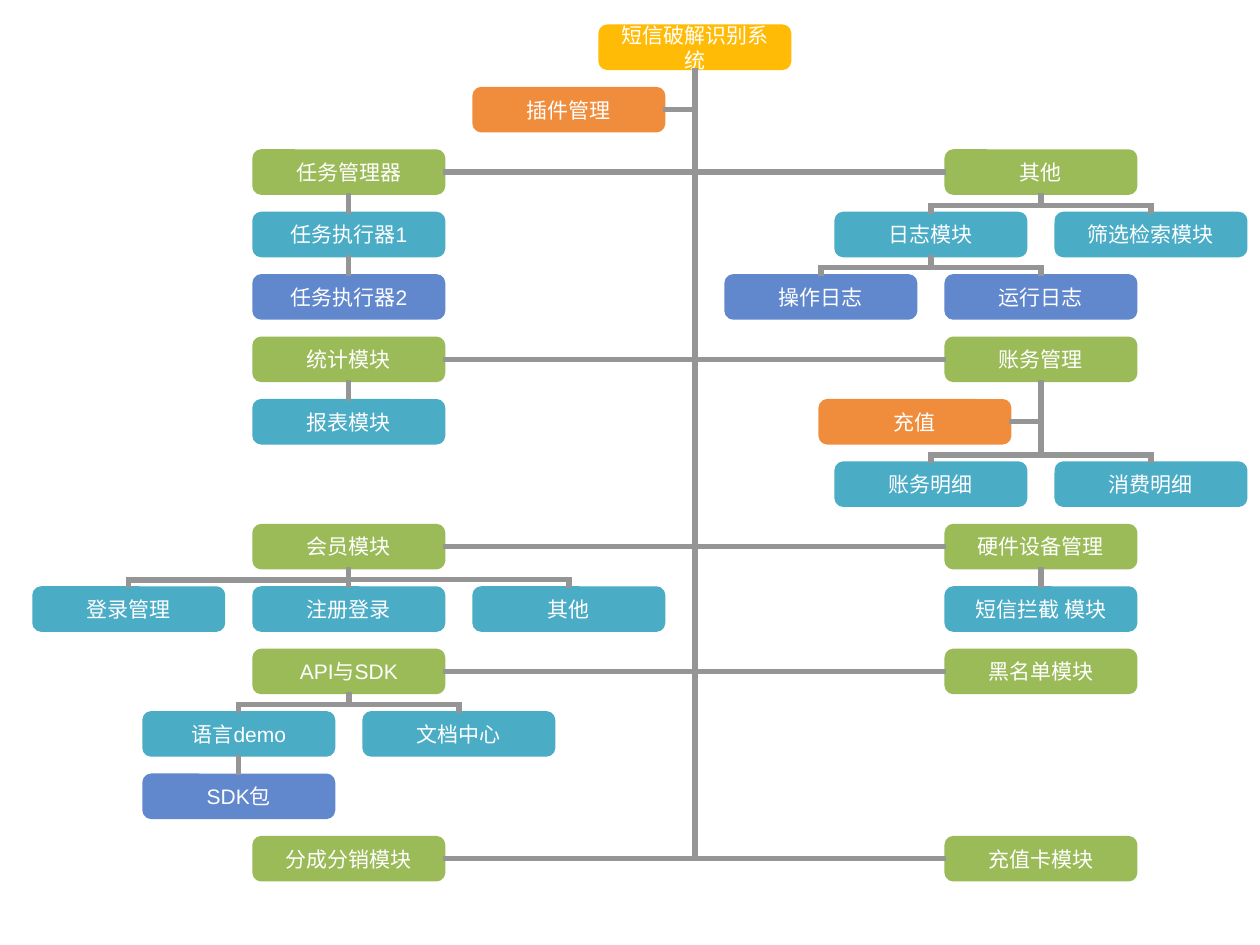
from lxml.etree import SubElement
from pptx import Presentation
from pptx.dml.color import RGBColor as RGB
from pptx.enum.shapes import MSO_CONNECTOR as Link, MSO_SHAPE as Form
from pptx.enum.text import MSO_ANCHOR as Anchor, PP_ALIGN as Align
from pptx.oxml.ns import qn
from pptx.util import Pt

HUES = {
    "root": "FFBB05",
    "branch": "9BBB59",
    "leaf": "4BACC6",
    "twig": "6187CD",
    "aide": "F08D3C",
    "line": "959595",
    "text": "FFFFFF",
}
REACH = {"root": 0, "branch": 197.75, "leaf": 62.87, "twig": 62.87, "aide": 72}
WIDE, HIGH = 108, 23.78
SPINE, TOP, PITCH = 397.1, 15.1, 35.67
DROP = 4.77

# depth, kind, shift from parent, row, text
NODES = [
    (0, "root", 0, 0, "短信破解识别系统"),
    (1, "aide", -1, 1, "插件管理"),
    (1, "branch", -1, 2, "任务管理器"),
    (2, "leaf", 0, 3, "任务执行器1"),
    (3, "twig", 0, 4, "任务执行器2"),
    (1, "branch", 1, 2, "其他"),
    (2, "leaf", 1, 3, "筛选检索模块"),
    (2, "leaf", -1, 3, "日志模块"),
    (3, "twig", -1, 4, "操作日志"),
    (3, "twig", 1, 4, "运行日志"),
    (1, "branch", -1, 5, "统计模块"),
    (2, "leaf", 0, 6, "报表模块"),
    (1, "branch", 1, 5, "账务管理"),
    (2, "aide", -1, 6, "充值"),
    (2, "leaf", -1, 7, "账务明细"),
    (2, "leaf", 1, 7, "消费明细"),
    (1, "branch", -1, 8, "会员模块"),
    (2, "leaf", -2, 9, "登录管理"),
    (2, "leaf", 0, 9, "注册登录"),
    (2, "leaf", 2, 9, "其他"),
    (1, "branch", 1, 8, "硬件设备管理"),
    (2, "leaf", 0, 9, "短信拦截 模块"),
    (1, "branch", -1, 10, "API与SDK"),
    (2, "leaf", -1, 11, "语言demo"),
    (3, "twig", 0, 12, "SDK包"),
    (2, "leaf", 1, 11, "文档中心"),
    (1, "branch", 1, 10, "黑名单模块"),
    (1, "branch", -1, 13, "分成分销模块"),
    (1, "branch", 1, 13, "充值卡模块"),
]

deck = Presentation()
deck.slide_width, deck.slide_height = Pt(720), Pt(540)
slide = deck.slides.add_slide(deck.slide_layouts[6])
shapes = slide.shapes


def add_box(mid, top, kind, text):
    box = shapes.add_shape(
        Form.ROUNDED_RECTANGLE, Pt(mid - WIDE / 2), Pt(top), Pt(WIDE), Pt(HIGH)
    )
    box.shadow.inherit = False
    box.fill.solid()
    box.fill.fore_color.rgb = box.line.color.rgb = RGB.from_string(HUES[kind])
    box.line.width = Pt(2.25)
    frame = box.text_frame
    frame.word_wrap = True
    frame.vertical_anchor = Anchor.MIDDLE
    para = frame.paragraphs[0]
    para.text = text
    para.alignment = Align.CENTER
    para.font.name = "Arial"
    para.font.size = Pt(12)
    para.font.color.rgb = RGB.from_string(HUES["text"])


def add_link(form, x1, y1, x2, y2):
    link = shapes.add_connector(form, Pt(x1), Pt(y1), Pt(x2), Pt(y2))
    link.line.color.rgb = RGB.from_string(HUES["line"])
    link.line.width = Pt(3)
    props = link.element.spPr
    SubElement(props.find(qn("a:ln")), qn("a:miter"), lim="800000")
    SubElement(props, qn("a:effectLst"))
    return props


trail = {}
for depth, kind, shift, row, text in NODES:
    home, base = trail.get(depth - 1, (SPINE, 0))
    mid, top = home + shift * REACH[kind], TOP + row * PITCH
    add_box(mid, top, kind, text)
    if kind != "aide":
        trail[depth] = mid, top + HIGH
    if kind in ("branch", "aide"):
        edge = mid - shift * WIDE / 2
        props = add_link(Link.ELBOW, edge, top + HIGH / 2, home, base)
        props.find(qn("a:prstGeom")).set("prst", "bentConnector2")
    elif kind != "root" and shift == 0:
        add_link(Link.STRAIGHT, mid, top, home, base)
    elif kind != "root":
        cx, cy = (mid + home) / 2, (top + base) / 2
        run, rise = (mid - home) / 2, (top - base) / 2
        props = add_link(Link.ELBOW, cx - rise, cy + run, cx + rise, cy - run)
        props.find(qn("a:xfrm")).set("rot", str(270 * 60000))
        bend = round(DROP / (top - base) * 100000)
        guides = props.find(qn("a:prstGeom")).find(qn("a:avLst"))
        SubElement(guides, qn("a:gd"), name="adj1", fmla=f"val {bend}")

deck.save("out.pptx")
